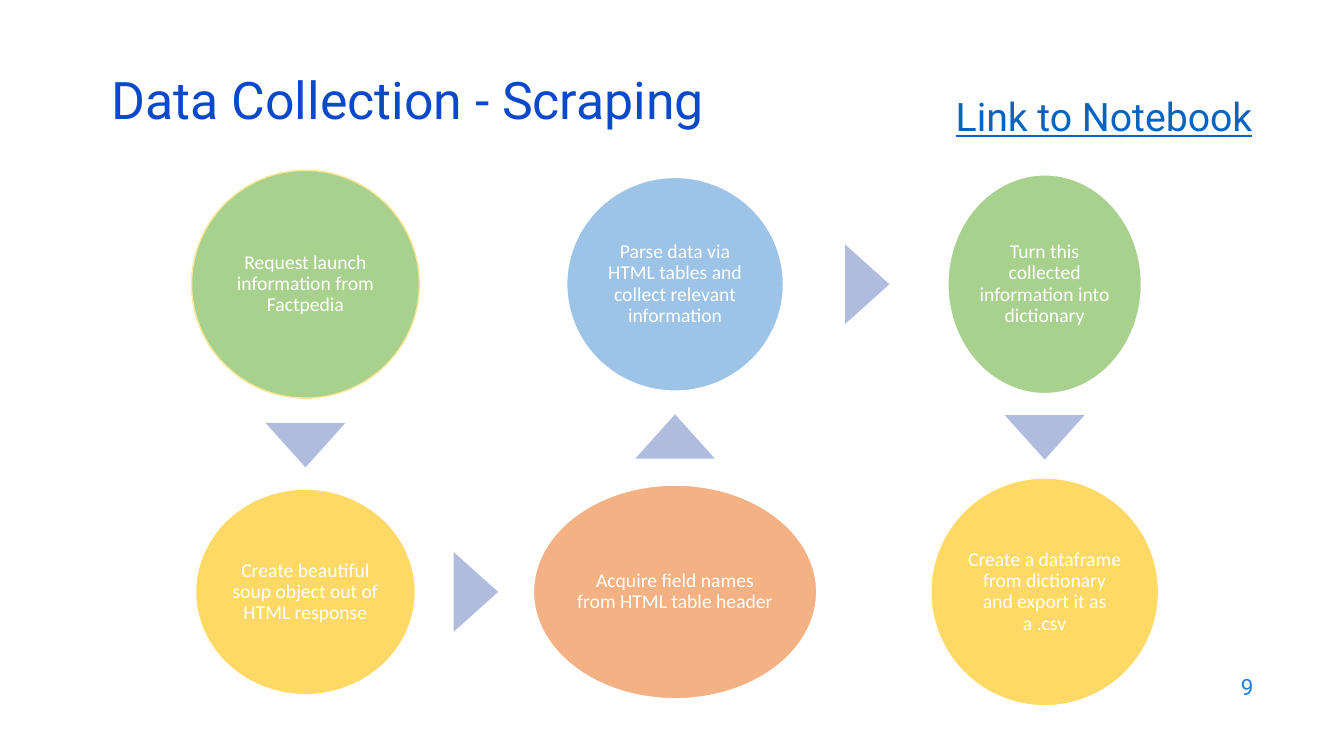
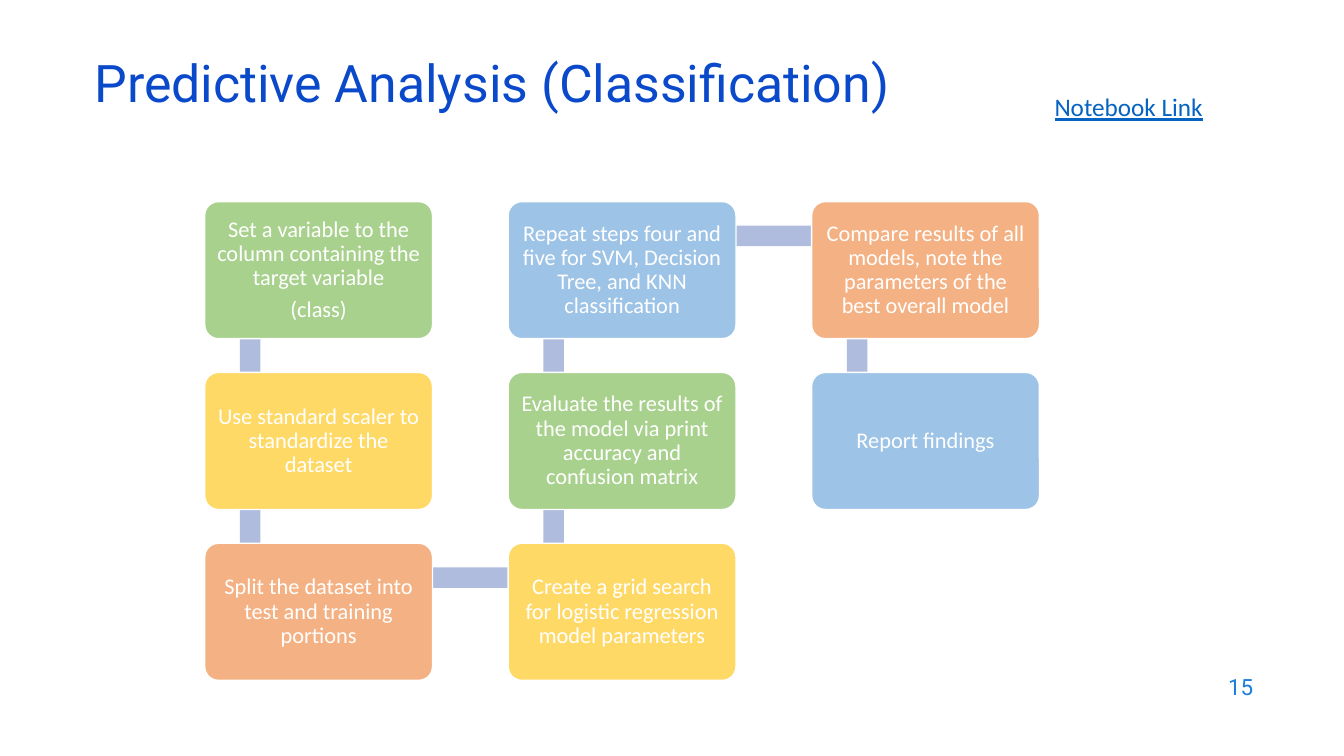
from dataclasses import dataclass
from itertools import pairwise

from pptx import Presentation
from pptx import util as u
from pptx.dml.color import RGBColor
from pptx.enum import shapes, text

WIDTH, HEIGHT = u.Inches(13.33), u.Inches(7.5)


@dataclass(frozen=True)
class Theme:
    title: str = "0B49CB"
    link: str = "0563C1"
    page_number: str = "1C7DDB"
    white: str = "FFFFFF"
    green: str = "A9D18E"
    yellow: str = "FFD966"
    pale_yellow: str = "FFE699"
    orange: str = "F4B183"
    blue: str = "9DC3E6"
    link_bar: str = "B0BCDE"
    heading_font: str = "Roboto"
    body_font: str = "Calibri"
    title_size: int = 37
    large_link_size: int = 28
    link_size: int = 18
    step_size: int = 16
    circle_size: int = 14
    page_number_size: int = 16


THEME = Theme()


def columns(count):
    """Width of a number of columns; the slide has 100."""
    return round(WIDTH * count / 100)


def rows(count):
    """Height of a number of rows; the slide has 100."""
    return round(HEIGHT * count / 100)


def snake(count, column_length):
    """Yield (column, row) cells running down one column and up the next."""
    for index in range(count):
        column, row = divmod(index, column_length)
        yield column, column_length - 1 - row if column % 2 else row


def write(frame, content, size, color, font=THEME.body_font, align=text.PP_ALIGN.LEFT,
          anchor=text.MSO_ANCHOR.TOP, wrap=True, underline=False, spacing=None,
          space_after=0, inset=None):
    """Fill a text frame, one paragraph for each line of content."""
    frame.word_wrap = wrap
    frame.vertical_anchor = anchor
    if inset is not None:
        frame.margin_left = frame.margin_right = u.Inches(inset)
        frame.margin_top = frame.margin_bottom = u.Inches(inset)
    frame.text = content
    for paragraph in frame.paragraphs:
        paragraph.alignment = align
        paragraph.line_spacing = spacing
        paragraph.space_after = u.Pt(space_after)
        paragraph.font.name = font
        paragraph.font.size = u.Pt(size)
        paragraph.font.color.rgb = RGBColor.from_string(color)
        paragraph.font.underline = underline


def add_text(slide, left, top, width, height, content, **style):
    box = slide.shapes.add_textbox(columns(left), rows(top), columns(width), rows(height))
    write(box.text_frame, content, **style)


def add_filled(slide, kind, left, top, width, height, fill, line=None):
    shape = slide.shapes.add_shape(kind, left, top, width, height)
    shape.shadow.inherit = False
    shape.fill.solid()
    shape.fill.fore_color.rgb = RGBColor.from_string(fill)
    if line:
        shape.line.color.rgb = RGBColor.from_string(line)
        shape.line.width = u.Pt(1)
    else:
        shape.line.fill.background()
    return shape


def write_step(shape, content, size, inset):
    write(shape.text_frame, content, size, THEME.white, align=text.PP_ALIGN.CENTER,
          anchor=text.MSO_ANCHOR.MIDDLE, spacing=0.9, space_after=round(0.35 * size, 1),
          inset=inset)


def add_slide(presentation, title, left, top, number):
    slide = presentation.slides.add_slide(presentation.slide_layouts[6])
    add_text(slide, left, top, 86.27, 8, title, size=THEME.title_size, color=THEME.title,
             font=THEME.heading_font, anchor=text.MSO_ANCHOR.MIDDLE, spacing=0.7)
    add_text(slide, 71.49, 87.87, 22.5, 5.87, str(number), size=THEME.page_number_size,
             color=THEME.page_number, font=THEME.heading_font,
             align=text.PP_ALIGN.RIGHT, anchor=text.MSO_ANCHOR.MIDDLE)
    return slide


def add_arrow(slide, start, end):
    """Put a triangle in the gap between two circles, pointing at the second."""
    width, height = columns(5.93), rows(5.87)
    nudge = u.Inches(0.015)
    if start.left + start.width // 2 == end.left + end.width // 2:
        downward = end.top > start.top
        upper, lower = (start, end) if downward else (end, start)
        center_x = start.left + start.width // 2
        center_y = (upper.top + upper.height + lower.top) // 2
        center_y += nudge if downward else -nudge
        rotation = 180 if downward else 0
    else:
        center_x = (start.left + start.width + end.left) // 2 + nudge
        center_y = start.top + start.height // 2
        rotation = 90
    triangle = add_filled(slide, shapes.MSO_SHAPE.ISOSCELES_TRIANGLE, center_x - width // 2,
                          center_y - height // 2, width, height, THEME.link_bar)
    triangle.rotation = rotation


def add_circle_flow(slide, steps):
    """Draw circles centred on a grid two rows high, with arrows between them."""
    circles = []
    for (column, row), step in zip(snake(len(steps), 2), steps):
        content, fill, line, step_width, step_height = step
        # Even sizes keep the centres of one column exactly equal.
        width, height = columns(step_width) // 2 * 2, rows(step_height) // 2 * 2
        circle = add_filled(slide, shapes.MSO_SHAPE.OVAL,
                            columns(22.73 + 27.5 * column) - width // 2,
                            rows(37.6 + 40.7 * row) - height // 2,
                            width, height, fill, line)
        write_step(circle, content, THEME.circle_size, 0.02)
        circles.append(circle)
    for start, end in pairwise(circles):
        add_arrow(slide, start, end)


def add_bar(slide, start, end):
    """Join two points by a thick bar, upright or level."""
    (left, right), (top, bottom) = (sorted(pair) for pair in zip(start, end))
    thickness = columns(1.53)
    if left == right:
        box = left - thickness // 2, top, thickness, bottom - top
    else:
        box = left, top - thickness // 2, right - left, thickness
    add_filled(slide, shapes.MSO_SHAPE.RECTANGLE, *box, THEME.link_bar)


def add_box_flow(slide, steps):
    """Draw boxes on a grid three rows high, over the bars that join them."""
    width, height = columns(16.95), rows(18.13)
    corners = [(columns(15.23 + 22.58 * column), rows(26.67 + 22.6 * row))
               for column, row in snake(len(steps), 3)]
    joints = [(left + width // 5, top + height // 4) for left, top in corners]
    for start, end in pairwise(joints):
        add_bar(slide, start, end)
    for (left, top), (content, fill) in zip(corners, steps):
        box = add_filled(slide, shapes.MSO_SHAPE.ROUNDED_RECTANGLE, left, top,
                         width, height, fill, THEME.white)
        box.adjustments[0] = 0.1
        write_step(box, content, THEME.step_size, 0.07)


def add_scraping_slide(presentation):
    slide = add_slide(presentation, "Data Collection - Scraping", 7.58, 10.13, 9)
    add_text(slide, 70.37, 11.6, 28.5, 8, "Link to Notebook", size=THEME.large_link_size,
             color=THEME.link, font=THEME.heading_font, underline=True)
    add_circle_flow(slide, [
        ("Request launch information from Factpedia",
         THEME.green, THEME.pale_yellow, 16.95, 30.13),
        ("Create beautiful soup object out of HTML response",
         THEME.yellow, THEME.white, 16.35, 27.2),
        ("Acquire field names from HTML table header",
         THEME.orange, THEME.white, 21.08, 28.27),
        ("Parse data via HTML tables and collect relevant information",
         THEME.blue, THEME.white, 16.13, 28.27),
        ("Turn this collected information into dictionary",
         THEME.green, THEME.white, 14.4, 28.93),
        ("Create a dataframe from dictionary and export it as a .csv",
         THEME.yellow, THEME.white, 16.95, 30.13),
    ])


def add_classification_slide(presentation):
    slide = add_slide(presentation, "Predictive Analysis (Classification)", 6.3, 7.87, 15)
    add_text(slide, 77.72, 11.47, 12.68, 5.33, "Notebook Link", size=THEME.link_size,
             color=THEME.link, wrap=False, underline=True)
    add_box_flow(slide, [
        ("Set a variable to the column containing the target variable\n(class)", THEME.green),
        ("Use standard scaler to standardize the dataset", THEME.yellow),
        ("Split the dataset into test and training portions", THEME.orange),
        ("Create a grid search for logistic regression model parameters", THEME.yellow),
        ("Evaluate the results of the model via print accuracy and confusion matrix",
         THEME.green),
        ("Repeat steps four and five for SVM, Decision Tree, and KNN classification",
         THEME.blue),
        ("Compare results of all models, note the parameters of the best overall model",
         THEME.orange),
        ("Report findings", THEME.blue),
    ])


def main():
    presentation = Presentation()
    presentation.slide_width, presentation.slide_height = WIDTH, HEIGHT
    add_scraping_slide(presentation)
    add_classification_slide(presentation)
    presentation.save("out.pptx")


if __name__ == "__main__":
    main()
